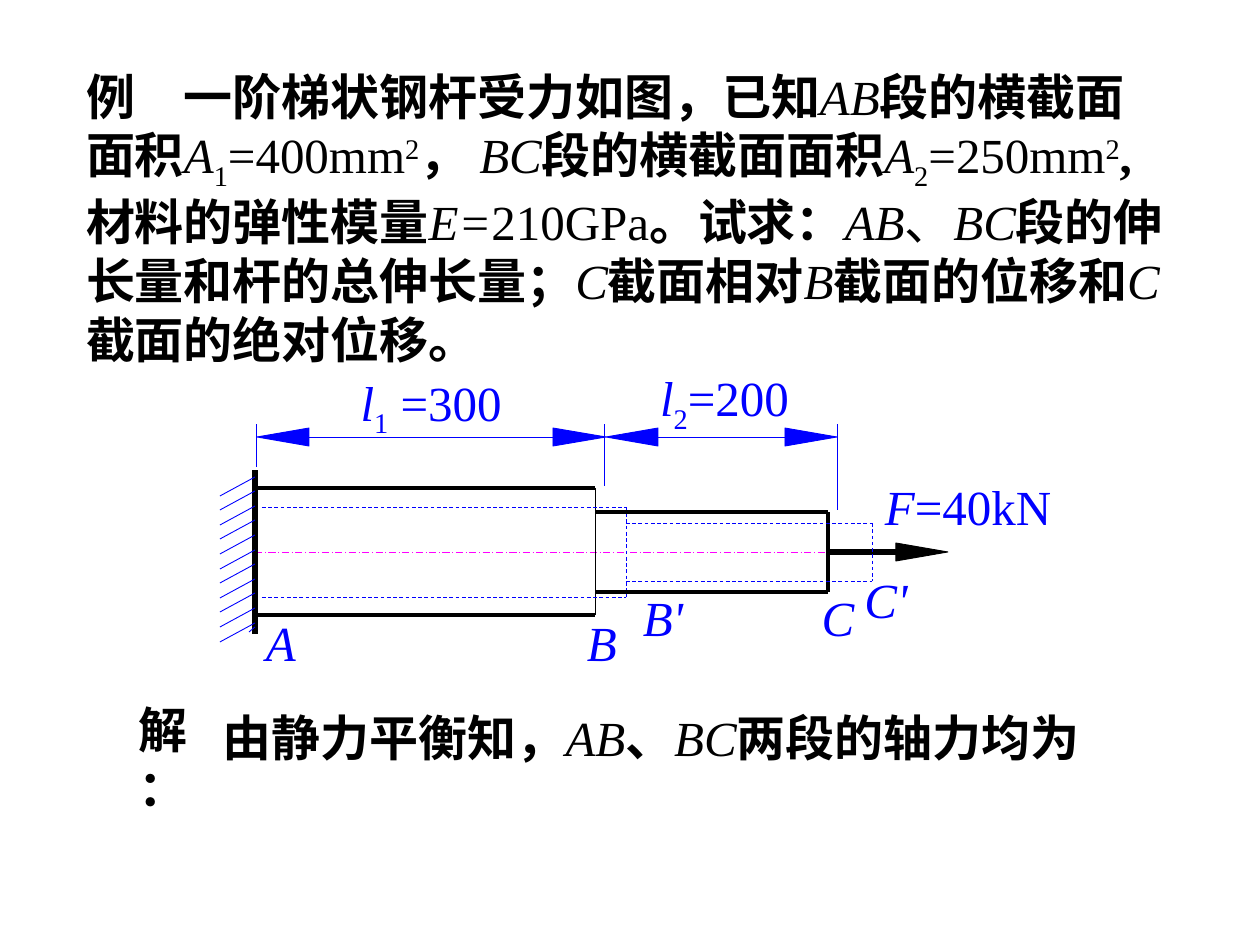
import pptx
import pptx.util
import pptx.dml.color
import pptx.enum.dml
import pptx.enum.shapes
import pptx.enum.text
import pptx.oxml

EMU_PER_PX = 914400 / 126
DASH = pptx.enum.dml.MSO_LINE
ALIGN = pptx.enum.text.PP_ALIGN
THEME = {
    "font": "Times New Roman",
    "size": pptx.util.Pt(28),
    "hairline": 0.5,
    "ink": pptx.dml.color.RGBColor.from_string("000000"),
    "blue": pptx.dml.color.RGBColor.from_string("0000FF"),
    "axis": pptx.dml.color.RGBColor.from_string("FF00FF"),
}
HAIR = THEME["hairline"]
RUN_STYLES = {
    "bold": {"bold": True},
    "italic": {"italic": True},
    "plain": {},
    "sub": {},
    "sup": {},
}
BASELINES = {"sub": "-25000", "sup": "30000"}


def px(value):
    return round(value * EMU_PER_PX)


def add_text(place, runs, color, margins=(0, 0), align=ALIGN.CENTER, wrap=True):
    """Add a text box at (left, top, width, height) px from (text, style) runs."""
    box = page.shapes.add_textbox(*map(px, place))
    frame_format = {
        "margin_left": px(margins[0]),
        "margin_right": px(margins[0]),
        "margin_top": px(margins[1]),
        "margin_bottom": px(margins[1]),
        "word_wrap": wrap,
        "auto_size": pptx.enum.text.MSO_AUTO_SIZE.SHAPE_TO_FIT_TEXT,
    }
    for name, value in frame_format.items():
        setattr(box.text_frame, name, value)
    para = box.text_frame.paragraphs[0]
    para.alignment = align
    para._p.get_or_add_pPr().set("hangingPunct", "0")
    for text, style in runs:
        span = para.add_run()
        span.text = text
        font_format = {"name": THEME["font"], "size": THEME["size"], **RUN_STYLES[style]}
        for name, value in font_format.items():
            setattr(span.font, name, value)
        span.font.color.rgb = THEME[color]
        if style in BASELINES:
            span.font._element.set("baseline", BASELINES[style])


deck = pptx.Presentation()
deck.slide_width, deck.slide_height = px(1260), px(945)
page = deck.slides.add_slide(deck.slide_layouts[6])

# Problem statement and start of the solution
paragraphs = [
    ((73, 60, 1103, 324), [
        ("例　一阶梯状钢杆受力如图，已知", "bold"), ("AB", "italic"),
        ("段的横截面面积", "bold"), ("A", "italic"), ("1", "sub"),
        ("=400mm", "plain"), ("2", "sup"), ("， ", "bold"), ("BC", "italic"),
        ("段的横截面面积", "bold"), ("A", "italic"), ("2", "sub"),
        ("=250mm", "plain"), ("2", "sup"), (",材料的弹性模量", "bold"),
        ("E=", "italic"), ("210GPa", "plain"), ("。试求：", "bold"),
        ("AB", "italic"), ("、", "plain"), ("BC", "italic"),
        ("段的伸长量和杆的总伸长量；", "bold"), ("C", "italic"),
        ("截面相对", "bold"), ("B", "italic"), ("截面的位移和", "bold"),
        ("C", "italic"), ("截面的绝对位移。", "bold"),
    ]),
    ((126, 693, 116, 72), [("解：", "bold")]),
    ((210, 702, 914, 131), [
        ("由静力平衡知，", "bold"), ("AB", "italic"), ("、", "bold"),
        ("BC", "italic"), ("两段的轴力均为", "bold"),
    ]),
]
for place, runs in paragraphs:
    add_text(place, runs, "ink", margins=(13, 6), align=ALIGN.LEFT)

# Stepped bar: A at the wall, step at B, free end at C
wall, step, end, axis = 255, 595, 828, 552
moved_step, moved_end = 626, 872
dim_y, dim_top = 437, 424
lines = [
    ((wall, axis, end, axis), "axis", HAIR, DASH.LONG_DASH_DOT),
    ((wall, 634, wall, 470), "ink", 3, None),
    ((step, 488, step, 615), "ink", HAIR, None),
    ((end, 512, end, 592), "ink", 2.25, None),
    ((end, axis, 896, axis), "ink", 3, None),
    ((moved_step, 507, moved_step, 597), "blue", HAIR, DASH.DASH),
    ((moved_end, 523, moved_end, 581), "blue", HAIR, DASH.DASH),
    ((249, 632, wall, 627), "blue", HAIR, None),
]
for y in (488, 615):
    lines.append(((wall, y, step, y), "ink", 2.25, None))
for y in (512, 592):
    lines.append(((step, y, end, y), "ink", 2.25, None))
for y in (507, 597):
    lines.append(((262, y, moved_step, y), "blue", HAIR, DASH.DASH))
for y in (523, 581):
    lines.append(((moved_step, y, moved_end, y), "blue", HAIR, DASH.DASH))
for index in range(11):
    y = 496 + index * 146 // 10
    lines.append(((220, y, wall, y - 19), "blue", HAIR, None))

# Dimension lines and their extension lines
for x, bottom in ((256, 467), (604, 486), (837, 510)):
    lines.append(((x, bottom, x, dim_top), "blue", HAIR, None))
for left, right in ((309, 553), (658, 785)):
    lines.append(((left, dim_y, right, dim_y), "blue", HAIR, None))

for ends, color, width, dash in lines:
    line = page.shapes.add_connector(
        pptx.enum.shapes.MSO_CONNECTOR.STRAIGHT, *map(px, ends))
    line.line.color.rgb = THEME[color]
    line.line.width = pptx.util.Pt(width)
    if dash is not None:
        line.line.dash_style = dash
    line._element.spPr.append(pptx.oxml.parse_xml(
        '<a:effectLst xmlns:a="http://schemas.openxmlformats.org/drawingml/2006/main"/>'))

# Arrowheads: base x, tip x, y, colour
arrowheads = [
    (896, 948, axis, "ink"),
    (309, 257, dim_y, "blue"),
    (553, 606, dim_y, "blue"),
    (658, 606, dim_y, "blue"),
    (785, 837, dim_y, "blue"),
]
for base, tip, y, color in arrowheads:
    outline = page.shapes.build_freeform(px(base), px(y - 9))
    outline.add_line_segments([(px(base), px(y + 9)), (px(tip), px(y))], close=True)
    head = outline.convert_to_shape()
    head.shadow.inherit = False
    head.fill.solid()
    head.fill.fore_color.rgb = THEME[color]
    head.line.color.rgb = THEME[color]
    head.line.width = pptx.util.Pt(HAIR)

# Labels
for place, sub, value in (
    ((347, 372, 168, 67), "1", " =300"),
    ((630, 368, 189, 67), "2", "=200"),
):
    add_text(place, [("l", "italic"), (sub, "sub"), (value, "plain")], "blue")

for name, value, place in (
    ("F", "=40kN", (878, 476, 180, 59)),
    ("A", "", (261, 612, 40, 59)),
    ("B", "", (582, 612, 40, 59)),
    ("B'", "", (633, 587, 60, 59)),
    ("C", "", (818, 588, 40, 59)),
    ("C'", "", (856, 570, 60, 59)),
):
    runs = [(name, "italic")] + ([(value, "plain")] if value else [])
    add_text(place, runs, "blue", wrap=False)

deck.save("out.pptx")
